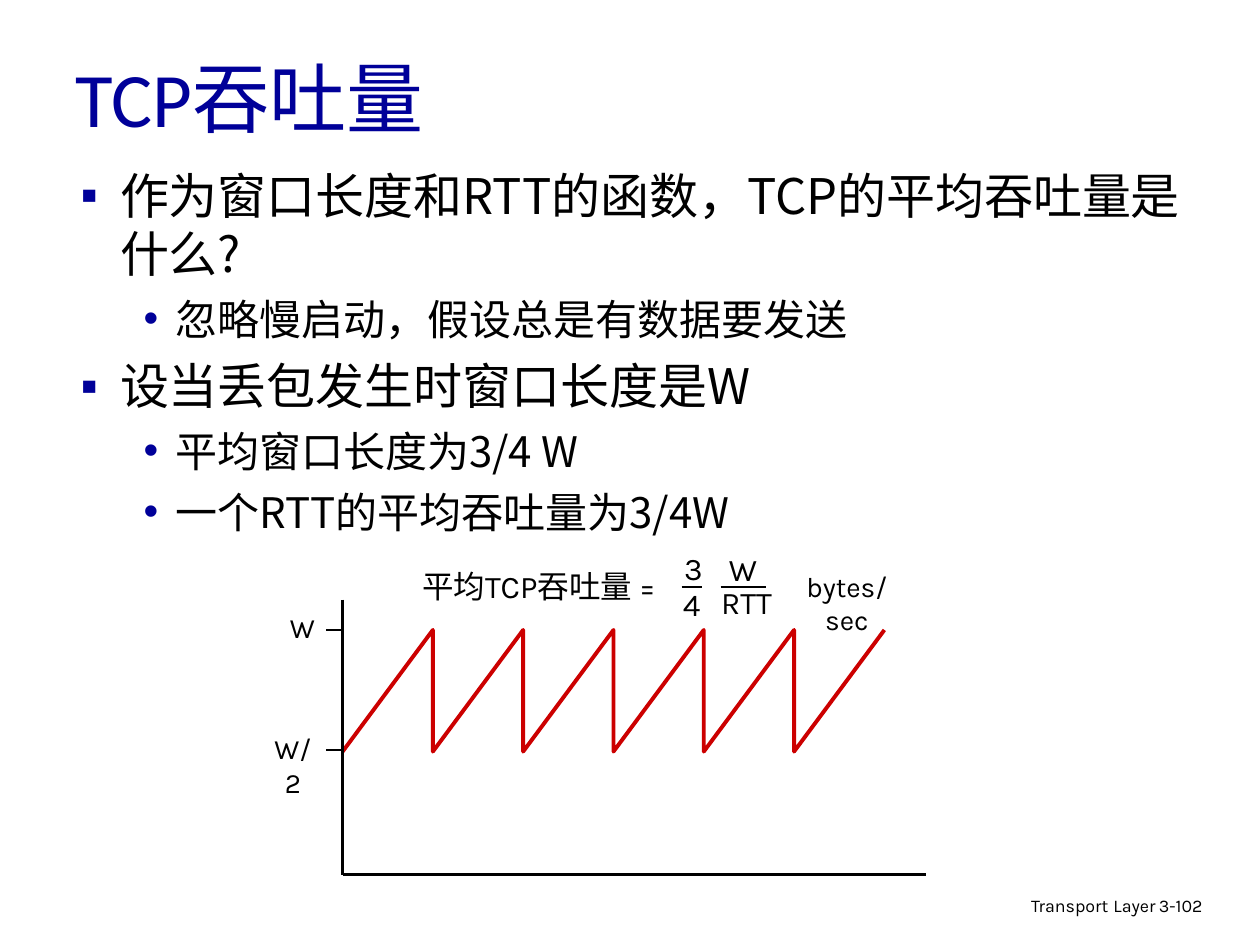
from lxml import etree
from pptx import Presentation
from pptx.dml.color import RGBColor
from pptx.enum.shapes import MSO_CONNECTOR
from pptx.enum.text import MSO_ANCHOR, MSO_AUTO_SIZE, PP_ALIGN
from pptx.oxml.ns import qn
from pptx.util import Pt

STRAIGHT = MSO_CONNECTOR.STRAIGHT
MIDDLE, TOP = MSO_ANCHOR.MIDDLE, MSO_ANCHOR.TOP
NO_FIT = MSO_AUTO_SIZE.NONE
LEFT, CENTER, RIGHT = PP_ALIGN.LEFT, PP_ALIGN.CENTER, PP_ALIGN.RIGHT

BLACK, BLUE, RED = "000000", "000099", "CC0000"
CJK_FONT, LABEL_FONT, TITLE_FONT = "Noto Sans CJK SC", "Karla", "Calibri"

TITLE = "TCP吞吐量"
BULLETS = [
    (0, "作为窗口长度和RTT的函数，TCP的平均吞吐量是什么?"),
    (1, "忽略慢启动，假设总是有数据要发送"),
    (0, "设当丢包发生时窗口长度是W"),
    (1, "平均窗口长度为3/4 W"),
    (1, "一个RTT的平均吞吐量为3/4W"),
]
LEVELS = [
    {"mark": "▪", "margin": 22.5, "hanging": 22.5, "size": 28, "before": 7},
    {"mark": "•", "margin": 54, "hanging": 18, "size": 24, "before": 6},
]
LABELS = [
    ("W", 158.4, 345.6, 28.8, 16),
    ("平均TCP吞吐量 = ", 225.4, 320.4, 169.2, 18),
    ("3", 383.8, 310.3, 24.5, 18),
    ("4", 383, 330.5, 24.5, 18),
    ("W", 409, 311, 31, 18),
    ("RTT", 403.9, 329.8, 45.4, 18),
]
WRAPPED_LABELS = [("W/2", 145.4, 414.7, 43.9, 9.5), ("bytes/sec", 441.4, 321.8, 85, 14.4)]
FOOTERS = [
    ([("Transport", 10.2), (" ", 11.9), ("Layer", 10.2)], 439.2, 507.6, 228.2, RIGHT),
    ([("3-102", 10.2)], 655.2, 509, 53.3, LEFT),
]
AXIS_X, AXIS_TOP, AXIS_Y, AXIS_END = 195.8, 342.7, 499.9, 529.2
PEAK_Y, TROUGH_Y, PERIOD, TEETH = 360, 429.5, 51.6, 6
TICK = 9.4
FRACTION_BARS = [(389.5, 401), (411.8, 437.8)]
FRACTION_Y = 335.5


def color(value):
    return RGBColor.from_string(value)


def add_run(paragraph, text, size, font, fill=BLACK):
    run = paragraph.add_run()
    run.text = text
    run.font.size = Pt(size)
    run.font.name = font
    run.font.color.rgb = color(fill)
    east_asian = etree.SubElement(run.font._element, qn("a:ea"))
    east_asian.set("typeface", CJK_FONT)


def place(shape, left, top, width, height):
    shape.left, shape.top = Pt(left), Pt(top)
    shape.width, shape.height = Pt(width), Pt(height)


def add_label(slide, runs, left, top, width, height, align=CENTER, wrap=False, inset=7.2):
    box = slide.shapes.add_textbox(Pt(left), Pt(top), Pt(width), Pt(height))
    frame = box.text_frame
    frame.word_wrap = wrap
    frame.margin_left = frame.margin_right = Pt(inset)
    paragraph = frame.paragraphs[0]
    paragraph.alignment = align
    for text, size in runs:
        add_run(paragraph, text, size, LABEL_FONT)
    return paragraph


def add_line(slide, x1, y1, x2, y2):
    line = slide.shapes.add_connector(STRAIGHT, Pt(x1), Pt(y1), Pt(x2), Pt(y2))
    line.line.color.rgb = color(BLACK)
    line.line.width = Pt(1.5)
    etree.SubElement(line._element.spPr, qn("a:effectLst"))


def add_bullet(paragraph, level):
    properties = paragraph._p.get_or_add_pPr()
    properties.set("marL", str(Pt(level["margin"])))
    properties.set("indent", str(-Pt(level["hanging"])))
    bullet_color = etree.SubElement(properties, qn("a:buClr"))
    etree.SubElement(bullet_color, qn("a:srgbClr")).set("val", BLUE)
    etree.SubElement(properties, qn("a:buChar")).set("char", level["mark"])


def fill_title(title):
    place(title, 36, 18.7, 612, 73.4)
    frame = title.text_frame
    frame.auto_size = NO_FIT
    frame.vertical_anchor = MIDDLE
    frame.paragraphs[0].alignment = LEFT
    add_run(frame.paragraphs[0], TITLE, 44, TITLE_FONT, BLUE)


def fill_body(body):
    place(body, 38.9, 90.7, 650.9, 365.8)
    frame = body.text_frame
    frame.auto_size = NO_FIT
    frame.vertical_anchor = TOP
    for index, (depth, text) in enumerate(BULLETS):
        level = LEVELS[depth]
        paragraph = frame.add_paragraph() if index else frame.paragraphs[0]
        paragraph.level = depth
        add_bullet(paragraph, level)
        paragraph.space_before = Pt(level["before"] if index else 0)
        add_run(paragraph, text, level["size"], CJK_FONT)


def draw_sawtooth(slide):
    points = []
    for tooth in range(1, TEETH + 1):
        x = AXIS_X + tooth * PERIOD
        points += [(Pt(x), Pt(PEAK_Y)), (Pt(x), Pt(TROUGH_Y))]
    builder = slide.shapes.build_freeform(Pt(AXIS_X), Pt(TROUGH_Y))
    builder.add_line_segments(points[:-1], close=False)
    curve = builder.convert_to_shape()
    curve.shadow.inherit = False
    curve.fill.background()
    curve.line.color.rgb = color(RED)
    curve.line.width = Pt(2.25)


def main():
    presentation = Presentation()
    presentation.slide_width, presentation.slide_height = Pt(720), Pt(540)
    slide = presentation.slides.add_slide(presentation.slide_layouts[1])
    fill_title(slide.shapes.title)
    fill_body(slide.placeholders[1])
    for runs, left, top, width, align in FOOTERS:
        add_label(slide, runs, left, top, width, 22, align, True).line_spacing = 0.9

    draw_sawtooth(slide)
    add_line(slide, AXIS_X, AXIS_Y, AXIS_END, AXIS_Y)
    add_line(slide, AXIS_X, AXIS_TOP, AXIS_X, AXIS_Y)
    for y in (PEAK_Y, TROUGH_Y - 1):
        add_line(slide, AXIS_X - TICK, y, AXIS_X, y)
    for start, end in FRACTION_BARS:
        add_line(slide, start, FRACTION_Y, end, FRACTION_Y)
    for text, left, top, width, size in LABELS:
        add_label(slide, [(text, size)], left, top, width, size * 1.6)
    for text, left, top, width, inset in WRAPPED_LABELS:
        add_label(slide, [(text, 16)], left, top, width, 26.6, wrap=True, inset=inset)
    presentation.save("out.pptx")


if __name__ == "__main__":
    main()
